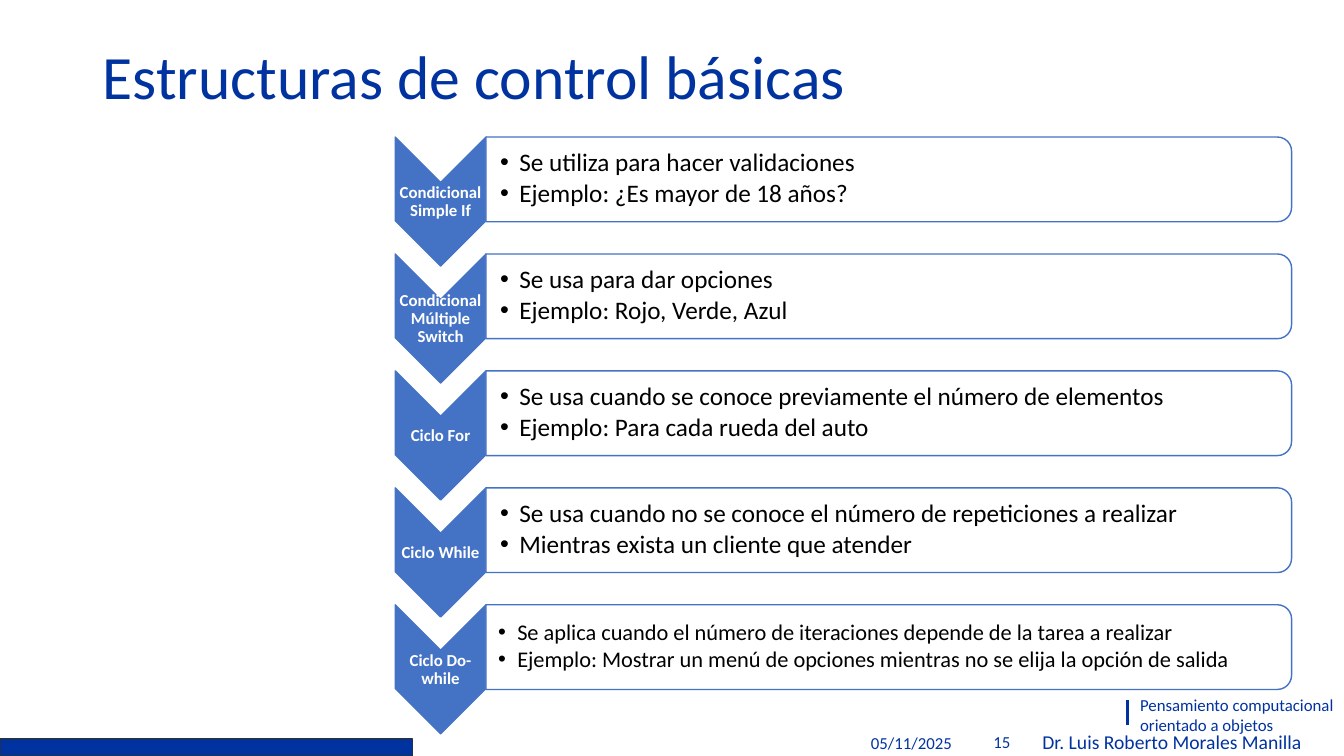
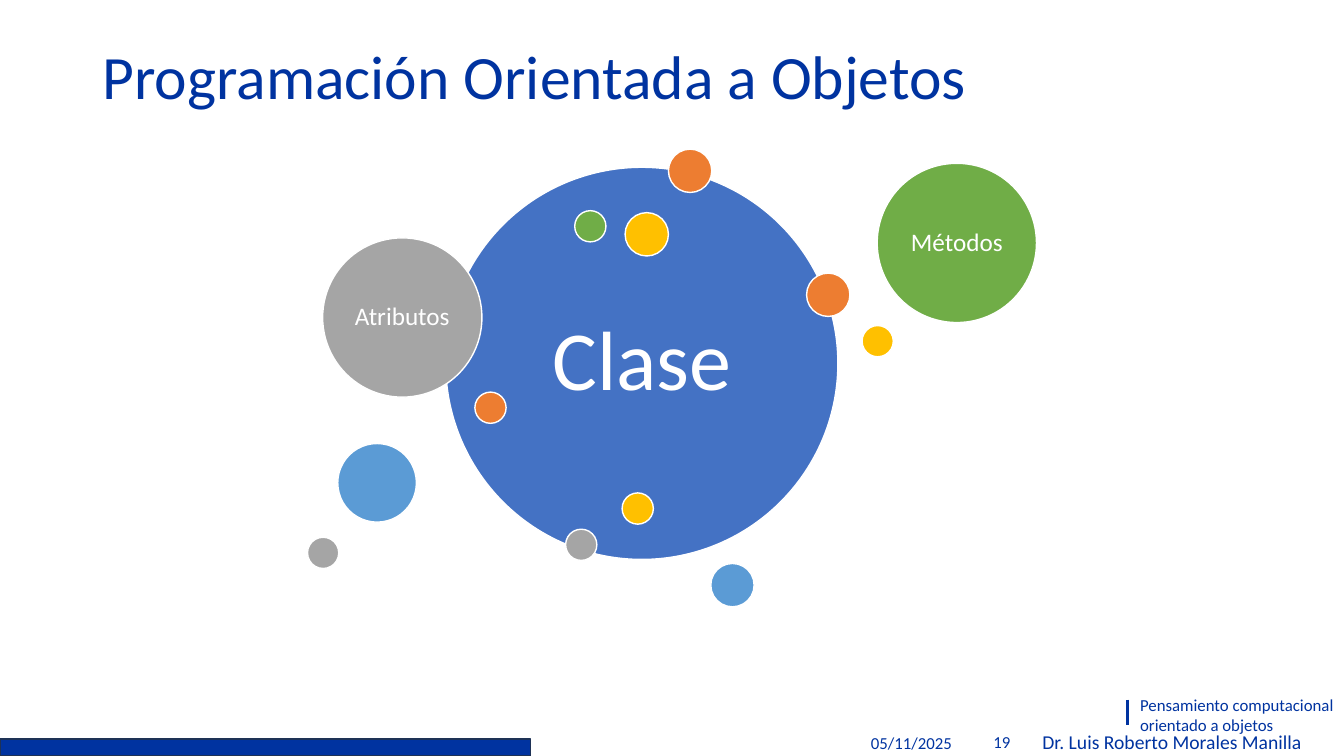
from lxml.etree import SubElement
from pptx import Presentation
from pptx.dml.color import RGBColor
from pptx.enum.shapes import MSO_CONNECTOR, MSO_SHAPE as SHAPE
from pptx.enum.text import MSO_ANCHOR as ANCHOR, PP_ALIGN as ALIGN
from pptx.oxml.ns import qn
from pptx.util import Inches, Pt

FONT = "Calibri"
COLORS = {
    "navy": "0033A0", "navy_edge": "1E3256", "blue": "4472C4", "sky": "5B9BD5",
    "orange": "ED7D31", "gray": "A5A5A5", "gold": "FFC000", "green": "70AD47",
    "white": "FFFFFF", "black": "000000",
}
TEXT_INSETS = (0.1, 0.05, 0.1, 0.05)
TIGHT_INSETS = (0.01,) * 4
ROW_TOP, ROW_PITCH = 1.36, 1.16
CHEVRON_LEFT, CHEVRON_WIDTH, CHEVRON_HEIGHT = 3.92, 0.9, 1.28
PANEL_WIDTH, PANEL_HEIGHT = 7.99, 0.84
BULLET_INDENT = 0.19

STRUCTURES = [
    ("Condicional Simple If", 18,
     ["Se utiliza para hacer validaciones", "Ejemplo: ¿Es mayor de 18 años?"]),
    ("Condicional Múltiple Switch", 18,
     ["Se usa para dar opciones", "Ejemplo: Rojo, Verde, Azul"]),
    ("Ciclo For", 18,
     ["Se usa cuando se conoce previamente el número de elementos",
      "Ejemplo: Para cada rueda del auto"]),
    ("Ciclo While", 18,
     ["Se usa cuando no se conoce el número de repeticiones a realizar",
      "Mientras exista un cliente que atender"]),
    ("Ciclo Do-while", 16,
     ["Se aplica cuando el número de iteraciones depende de la tarea a realizar",
      "Ejemplo: Mostrar un menú de opciones mientras no se elija la opción de salida"]),
]

# left, top, diameter, colour
SMALL, MEDIUM, LABELLED = 0.31, 0.43, 1.58
BUBBLES = [
    (6.63, 1.48, MEDIUM, "orange"),
    (5.61, 5.25, SMALL, "gray"),
    (8.55, 3.23, SMALL, "gold"),
    (7.05, 5.59, MEDIUM, "sky"),
    (5.7, 2.09, SMALL, "green"),
    (4.71, 3.89, SMALL, "orange"),
    (6.2, 2.11, MEDIUM, "gold"),
    (3.35, 4.4, 0.78, "sky"),
    (8, 2.71, MEDIUM, "orange"),
    (3.05, 5.33, SMALL, "gray"),
    (6.17, 4.89, SMALL, "gold"),
]


def rgb(color):
    return RGBColor.from_string(COLORS[color])


def add_figure(slide, kind, left, top, width, height, fill, line):
    figure = slide.shapes.add_shape(
        kind, Inches(left), Inches(top), Inches(width), Inches(height))
    figure.shadow.inherit = False
    figure.fill.solid()
    figure.fill.fore_color.rgb = rgb(fill)
    figure.line.color.rgb = rgb(line)
    figure.line.width = Pt(1)
    return figure


def add_turned(slide, kind, left, top, width, height, fill):
    """Add a figure turned 90 degrees that covers the given area."""
    figure = add_figure(slide, kind, left + (width - height) / 2,
                        top + (height - width) / 2, height, width, fill, "blue")
    figure.rotation = 90


def set_frame(frame, insets, anchor):
    frame.word_wrap = True
    frame.vertical_anchor = anchor
    (frame.margin_left, frame.margin_top,
     frame.margin_right, frame.margin_bottom) = map(Inches, insets)


def add_run(paragraph, text, size, color, bold=False):
    run = paragraph.add_run()
    run.text = text
    run.font.name = FONT
    run.font.size = Pt(size)
    run.font.bold = bold
    run.font.color.rgb = rgb(color)


def add_frame(slide, left, top, width, height, insets=TEXT_INSETS, anchor=ANCHOR.MIDDLE):
    box = slide.shapes.add_textbox(
        Inches(left), Inches(top), Inches(width), Inches(height))
    set_frame(box.text_frame, insets, anchor)
    return box.text_frame


def add_text(slide, area, text, size, color="navy", align=ALIGN.LEFT, spacing=1.0,
             bold=False, **frame_options):
    paragraph = add_frame(slide, *area, **frame_options).paragraphs[0]
    paragraph.alignment = align
    paragraph.line_spacing = spacing
    add_run(paragraph, text, size, color, bold)


def add_bullets(frame, items, size):
    for index, item in enumerate(items):
        paragraph = frame.add_paragraph() if index else frame.paragraphs[0]
        paragraph.line_spacing = 0.9
        paragraph.space_after = Pt(size * 0.15)
        properties = paragraph._p.get_or_add_pPr()
        properties.set("marL", str(Inches(BULLET_INDENT)))
        properties.set("indent", str(-Inches(BULLET_INDENT)))
        SubElement(properties, qn("a:buFont"), typeface="Arial")
        SubElement(properties, qn("a:buChar"), char="•")
        add_run(paragraph, item, size, "black")


def add_structure(slide, row, label, size, items):
    top = ROW_TOP + row * ROW_PITCH
    panel_left = CHEVRON_LEFT + CHEVRON_WIDTH
    add_turned(slide, SHAPE.CHEVRON, CHEVRON_LEFT, top,
               CHEVRON_WIDTH, CHEVRON_HEIGHT, "blue")
    add_text(slide, (CHEVRON_LEFT, top + 0.45, CHEVRON_WIDTH, 0.39), label, 12,
             "white", ALIGN.CENTER, 0.9, bold=True, insets=TIGHT_INSETS)
    add_turned(slide, SHAPE.ROUND_2_SAME_RECTANGLE, panel_left, top,
               PANEL_WIDTH, PANEL_HEIGHT, "white")
    frame = add_frame(slide, panel_left, top + 0.04, PANEL_WIDTH - 0.04, 0.75,
                      insets=(0.14 if size == 18 else 0.12, 0.01, 0.01, 0.01))
    add_bullets(frame, items, size)


def add_bubble(slide, left, top, diameter, color, label="", size=18, inset=0.07):
    bubble = add_figure(slide, SHAPE.OVAL, left, top, diameter, diameter, color, "white")
    if label:
        set_frame(bubble.text_frame, (inset,) * 4, ANCHOR.MIDDLE)
        paragraph = bubble.text_frame.paragraphs[0]
        paragraph.alignment = ALIGN.CENTER
        paragraph.line_spacing = 0.9
        add_run(paragraph, label, size, "white")


def add_divider(slide, x, top, bottom):
    divider = slide.shapes.add_connector(
        MSO_CONNECTOR.STRAIGHT, Inches(x), Inches(top), Inches(x), Inches(bottom))
    divider.line.color.rgb = rgb("navy")
    divider.line.width = Pt(2.25)
    SubElement(divider._element.spPr, qn("a:effectLst"))


def add_base(deck, title, number, progress):
    """Start a slide with its title, footer and progress band of the given width."""
    slide = deck.slides.add_slide(deck.slide_layouts[6])
    add_text(slide, (0.92, 0.4, 11.5, 0.78), title, 44, spacing=0.9)
    add_divider(slide, 11.18, 6.94, 7.19)
    add_text(slide, (11.21, 6.84, 2.13, 0.5),
             "Pensamiento computacional orientado a objetos", 12, anchor=ANCHOR.TOP)
    add_text(slide, (10.24, 7.19, 2.99, 0.22),
             "Dr. Luis Roberto Morales Manilla", 14, anchor=ANCHOR.TOP)
    add_text(slide, (8.54, 7.17, 1.24, 0.4), "05/11/2025", 12)
    add_text(slide, (9.57, 7.16, 0.55, 0.4), str(number), 12, align=ALIGN.RIGHT)
    add_figure(slide, SHAPE.RECTANGLE, 0, 7.33, progress, 0.17, "navy", "navy_edge")
    return slide


def add_control_slide(deck):
    slide = add_base(deck, "Estructuras de control básicas", 15, 4.09)
    for row, structure in enumerate(STRUCTURES):
        add_structure(slide, row, *structure)


def add_objects_slide(deck):
    slide = add_base(deck, "Programación Orientada a Objetos", 19, 5.26)
    add_bubble(slide, 4.42, 1.66, 3.89, "blue", "Clase", 60, 0.25)
    add_bubble(slide, 3.2, 2.36, LABELLED, "gray", "Atributos")
    add_bubble(slide, 8.7, 1.62, LABELLED, "green", "Métodos")
    for bubble in BUBBLES:
        add_bubble(slide, *bubble)


def main():
    deck = Presentation()
    deck.slide_width, deck.slide_height = Inches(13.33), Inches(7.5)
    add_control_slide(deck)
    add_objects_slide(deck)
    deck.save("out.pptx")


if __name__ == "__main__":
    main()
